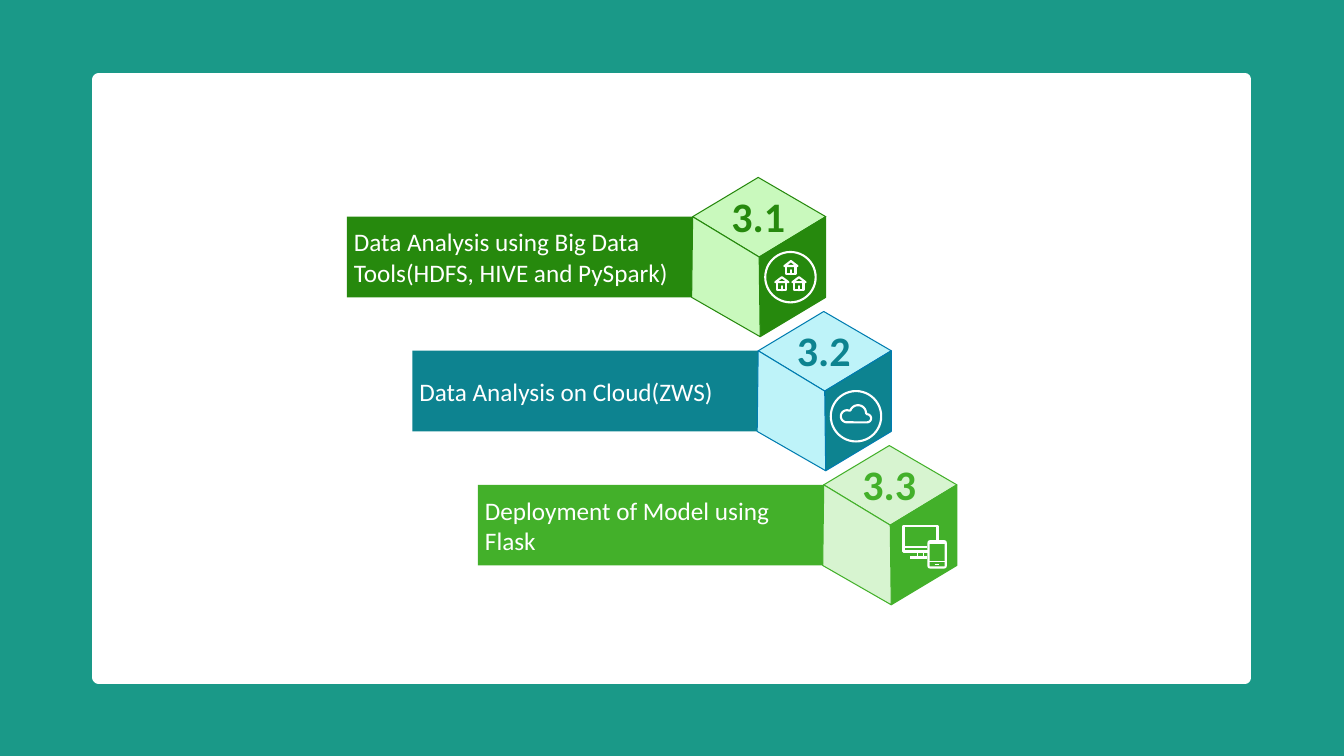
import math

import pptx
import pptx.dml.color
import pptx.enum.shapes
import pptx.enum.text
import pptx.oxml
import pptx.util

Inches = pptx.util.Inches
Pt = pptx.util.Pt
RGBColor = pptx.dml.color.RGBColor
MSO_SHAPE = pptx.enum.shapes.MSO_SHAPE

WHITE = RGBColor(0xFF, 0xFF, 0xFF)
TEAL = RGBColor(0x1A, 0x99, 0x88)
DARK_GREEN = RGBColor(0x26, 0x89, 0x0D)
PALE_GREEN = RGBColor(0xC9, 0xF9, 0xBD)
PETROL = RGBColor(0x0D, 0x83, 0x90)
PALE_BLUE = RGBColor(0xBE, 0xF3, 0xF9)
BLUE = RGBColor(0x00, 0x7C, 0xB0)
GREEN = RGBColor(0x43, 0xB0, 0x2A)
MINT = RGBColor(0xD7, 0xF4, 0xD0)

# Text, number, bar and right face, light faces, edges
STEPS = [
    ("Data Analysis using Big Data Tools(HDFS, HIVE and PySpark)", "3.1",
     DARK_GREEN, PALE_GREEN, DARK_GREEN),
    ("Data Analysis on Cloud(ZWS)", "3.2", PETROL, PALE_BLUE, BLUE),
    ("Deployment of Model using Flask", "3.3", GREEN, MINT, GREEN),
]
STEP_X, STEP_Y = 0.65, 1.33

# Cube faces, relative to the cube's left and top
TOP_FACE = [(0, 0.39), (0.65, 0), (1.32, 0.39), (0.66, 0.79)]
LEFT_FACE = [(-0.01, 1.19), (0, 0.39), (0.66, 0.79), (0.67, 1.58)]
RIGHT_FACE = [(0.66, 0.79), (0.67, 1.58), (1.32, 1.19), (1.32, 0.39)]

# House parts, relative to the house's left and top
HOUSE = [
    [(0, 0.05), (0.065, 0), (0.13, 0.05)],
    [(0.02, 0.05), (0.11, 0.05), (0.11, 0.13), (0.02, 0.13)],
    [(0.065, 0.09), (0.065, 0.13)],
]


def paint(shape, fill=None, line=None, width=0.75):
    """Set fill and line of a shape; None leaves either one empty."""
    shape.shadow.inherit = False
    if fill is None:
        shape.fill.background()
    else:
        shape.fill.solid()
        shape.fill.fore_color.rgb = fill
    if line is None:
        shape.line.fill.background()
    else:
        shape.line.color.rgb = line
        shape.line.width = Pt(width)


def add_outline(shapes, contours, left=0, top=0):
    """Draw closed contours, given in inches from left and top, as one shape."""
    placed = [[(Inches(left + x), Inches(top + y)) for x, y in contour]
              for contour in contours]
    builder = shapes.build_freeform(*placed[0][0])
    for number, contour in enumerate(placed):
        if number:
            builder.move_to(*contour[0])
        builder.add_line_segments(contour[1:], close=True)
    return builder.convert_to_shape()


presentation = pptx.Presentation()
presentation.slide_width = Inches(13.33)
presentation.slide_height = Inches(7.5)
slide = presentation.slides.add_slide(presentation.slide_layouts[6])
shapes = slide.shapes
slide.background.fill.solid()
slide.background.fill.fore_color.rgb = TEAL

panel = shapes.add_shape(MSO_SHAPE.RECTANGLE, Inches(0.98), Inches(0.79),
                         Inches(11.37), Inches(5.93))
paint(panel, WHITE, WHITE, 9)

for index, (text, number, dark, light, edge) in enumerate(STEPS):
    left = 6.87 + index * STEP_X
    top = 1.76 + index * STEP_Y

    bar = shapes.add_shape(MSO_SHAPE.RECTANGLE, Inches(left - 3.43),
                           Inches(top + 0.39), Inches(3.43), Inches(0.8))
    paint(bar, dark)
    frame = bar.text_frame
    frame.word_wrap = True
    frame.vertical_anchor = pptx.enum.text.MSO_ANCHOR.MIDDLE
    frame.margin_left = frame.margin_right = Inches(0.07)
    frame.margin_top = frame.margin_bottom = Inches(0.07)
    paragraph = frame.paragraphs[0]
    paragraph.text = text
    paragraph.alignment = pptx.enum.text.PP_ALIGN.LEFT
    paragraph.space_after = Pt(4.5)
    paragraph.font.name = "Calibri"
    paragraph.font.size = Pt(18)
    paragraph.font.color.rgb = WHITE

    for face, color in [(TOP_FACE, light), (RIGHT_FACE, dark), (LEFT_FACE, light)]:
        paint(add_outline(shapes, [face], left, top), color, edge)

    number_box = shapes.add_textbox(Inches(left + 0.33), Inches(top + 0.1),
                                    Inches(0.64), Inches(0.56))
    frame = number_box.text_frame
    frame.word_wrap = True
    frame.margin_left = frame.margin_right = Inches(0.03)
    frame.margin_top = frame.margin_bottom = Inches(0.03)
    paragraph = frame.paragraphs[0]
    paragraph.text = number
    paragraph.alignment = pptx.enum.text.PP_ALIGN.CENTER
    paragraph.font.name = "Calibri"
    paragraph.font.size = Pt(30)
    paragraph.font.bold = True
    paragraph.font.color.rgb = dark

# Rings around the first two icons
for left, top in [(7.59, 2.5), (8.24, 3.88)]:
    ring = shapes.add_shape(MSO_SHAPE.OVAL, Inches(left), Inches(top),
                            Inches(0.5), Inches(0.5))
    paint(ring, line=WHITE, width=1.5)

# Three houses
for left, top in [(7.78, 2.59), (7.69, 2.75), (7.86, 2.75)]:
    paint(add_outline(shapes, HOUSE, left, top), line=WHITE, width=1.5)

# Cloud: centre, radius, first and last angle of each arc
cloud_arcs = [(8.4, 4.13, 0.06, 90, 290), (8.51, 4.1, 0.08, 200, 360),
              (8.6, 4.15, 0.04, 270, 450)]
cloud = [(x + radius * math.cos(math.radians(angle)),
          y + radius * math.sin(math.radians(angle)))
         for x, y, radius, first, last in cloud_arcs
         for angle in range(first, last + 1, 10)]
paint(add_outline(shapes, [cloud]), line=WHITE, width=1.5)

# Monitor, its stand and the phone in front
devices = [
    (MSO_SHAPE.RECTANGLE, 8.96, 5.22, 0.34, 0.25, 1.75),
    (MSO_SHAPE.RECTANGLE, 9.1, 5.48, 0.06, 0.05, 1),
    (MSO_SHAPE.ROUNDED_RECTANGLE, 9.21, 5.37, 0.17, 0.26, 1.5),
]
for kind, left, top, width, height, line_width in devices:
    device = shapes.add_shape(kind, Inches(left), Inches(top),
                              Inches(width), Inches(height))
    paint(device, GREEN, WHITE, line_width)
device.adjustments[0] = 0.08

# Screen edge, monitor foot, phone header, footer and button
device_lines = [(8.98, 9.19, 5.43, 1.5), (9.03, 9.19, 5.53, 1.75),
                (9.21, 9.38, 5.39, 1.25), (9.21, 9.38, 5.57, 1.25),
                (9.27, 9.31, 5.6, 1.25)]
for start, end, y, width in device_lines:
    line = shapes.add_connector(pptx.enum.shapes.MSO_CONNECTOR.STRAIGHT,
                                Inches(start), Inches(y), Inches(end), Inches(y))
    line.line.color.rgb = WHITE
    line.line.width = Pt(width)
    properties = line._element.spPr
    properties.append(pptx.oxml.parse_xml(
        '<a:effectLst xmlns:a="http://schemas.openxmlformats.org/drawingml/2006/main"/>'))

presentation.save("out.pptx")
